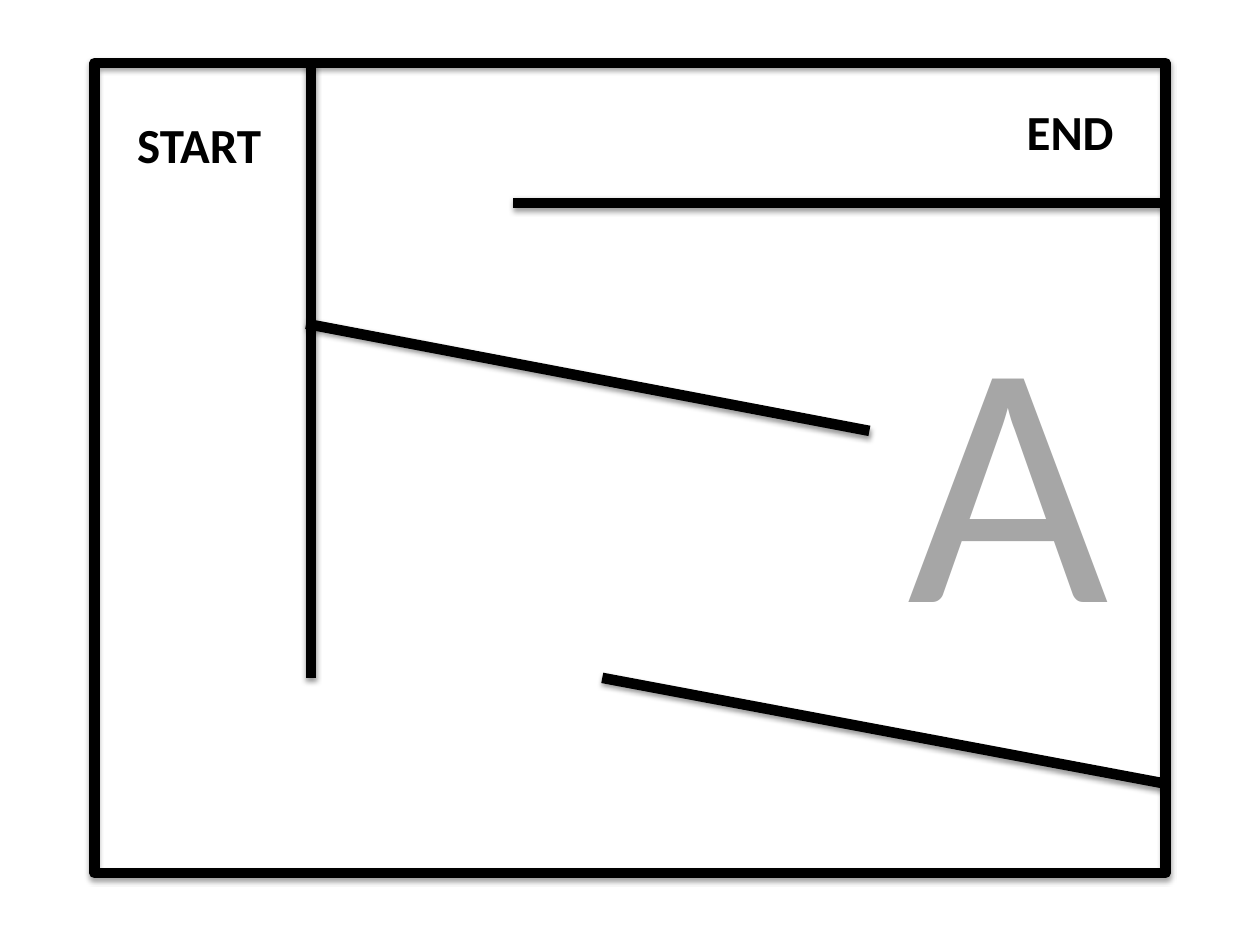
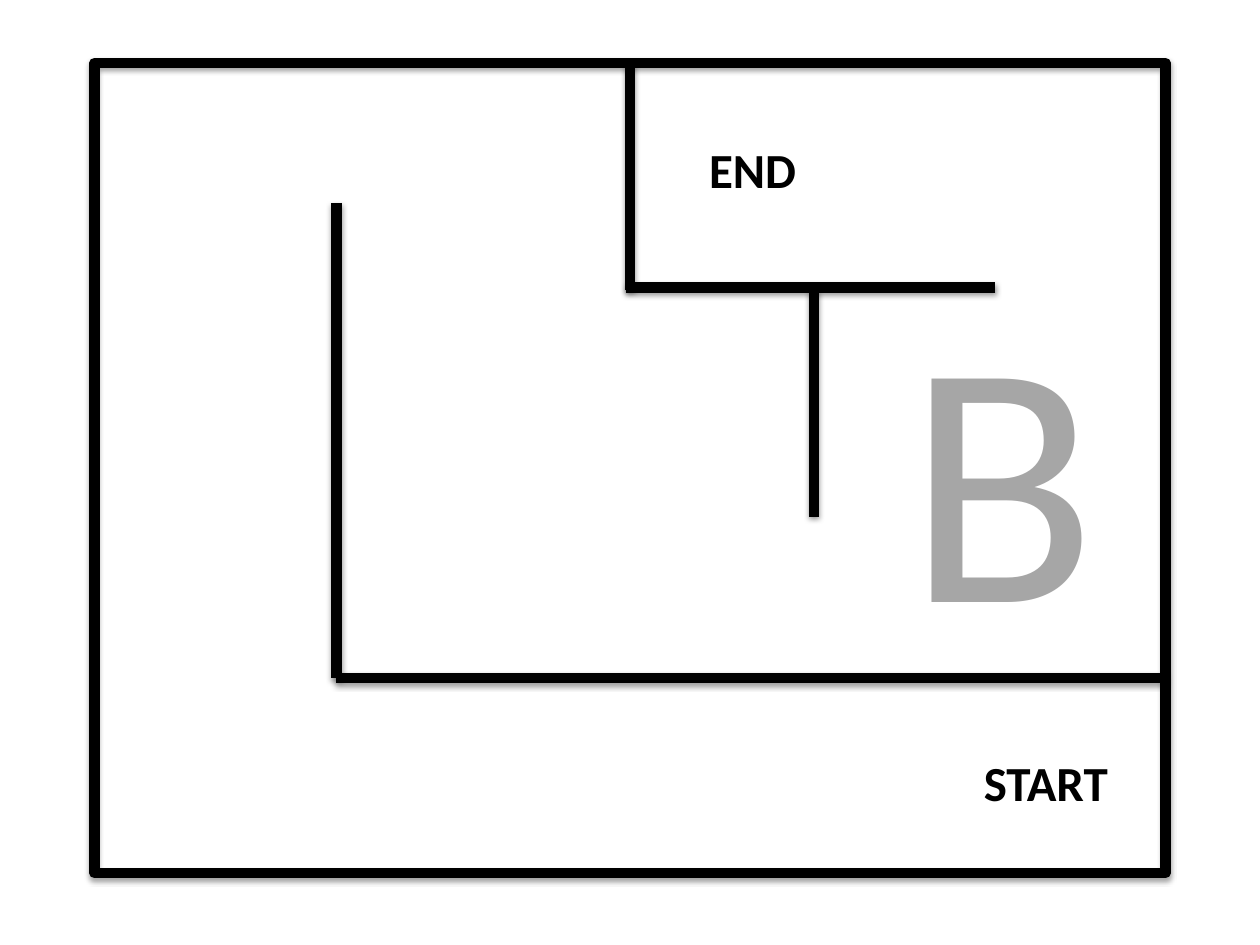
from lxml.etree import SubElement
from pptx import Presentation
from pptx.dml.color import RGBColor
from pptx.enum.shapes import MSO_CONNECTOR, MSO_SHAPE
from pptx.enum.text import MSO_AUTO_SIZE
from pptx.oxml.ns import qn
from pptx.util import Inches, Pt

COLORS = {"wall": "000000", "label": "000000", "letter": "A6A6A6"}
WALL_WIDTH = 6
FRAME = (0.75, 0.5, 8.5, 6.43)
RIGHT = FRAME[2]
TOP_MIDDLE = (FRAME[2] / 2, 0)
LABEL_WIDTHS = {"START": 1.24, "END": 0.9}
LABEL_HEIGHT = 0.57
LETTER_PLACE = (6.35, 1.47)
LETTER_HEIGHT = 3.45
LABEL_FORMAT = {"name": "Calibri", "size": Pt(28), "bold": True}
LETTER_FORMAT = {"name": "Calibri", "size": Pt(199)}

# Places are inches from the top left corner of the frame.
MAZES = [
    {
        "letter": ("A", 1.82),
        "labels": {"START": (0.24, 0.36), "END": (7.3, 0.26)},
        "walls": [
            ((1.72, 0), (1.72, 4.88)),
            ((RIGHT, 1.11), (3.32, 1.11)),
            ((6.15, 2.92), (1.68, 2.07)),
            ((RIGHT, 5.72), (4.03, 4.88)),
        ],
    },
    {
        "letter": ("B", 1.72),
        "labels": {"START": (6.96, 5.42), "END": (4.78, 0.56)},
        "walls": [
            ((1.92, 1.11), (1.92, 4.88)),
            (TOP_MIDDLE, (4.25, 1.8)),
            ((7.15, 1.78), (4.22, 1.78)),
            ((RIGHT, 4.88), (1.92, 4.88)),
            ((5.71, 1.8), (5.71, 3.6)),
        ],
    },
]


def style_wall(shape, opacity, distance):
    """Give a frame or wall its thick line and soft shadow below."""
    shape.line.color.rgb = RGBColor.from_string(COLORS["wall"])
    shape.line.width = Pt(WALL_WIDTH)
    properties = shape._element.spPr
    effects = SubElement(properties, qn("a:effectLst"))
    shadow = SubElement(effects, qn("a:outerShdw"), {
        "blurRad": str(Pt(3.1)), "dist": str(Pt(distance)),
        "dir": str(90 * 60000), "rotWithShape": "0"})
    color = SubElement(shadow, qn("a:srgbClr"), val=COLORS["wall"])
    SubElement(color, qn("a:alpha"), val=str(opacity * 1000))


def add_frame(page, box):
    frame = page.shapes.add_shape(MSO_SHAPE.RECTANGLE, *map(Inches, box))
    frame.fill.background()
    style_wall(frame, 35, 1.8)
    return frame


def add_wall(page, box, frame, start, end):
    left, top = box[:2]
    points = [Inches(value) for x, y in (start, end)
              for value in (left + x, top + y)]
    wall = page.shapes.add_connector(MSO_CONNECTOR.STRAIGHT, *points)
    if start == TOP_MIDDLE:
        wall.begin_connect(frame, 0)
    style_wall(wall, 38, 1.6)


def add_text(page, box, place, size, text, color, format_values):
    left, top = box[0] + place[0], box[1] + place[1]
    text_box = page.shapes.add_textbox(*map(Inches, (left, top, *size)))
    text_box.text_frame.word_wrap = False
    text_box.text_frame.auto_size = MSO_AUTO_SIZE.SHAPE_TO_FIT_TEXT
    span = text_box.text_frame.paragraphs[0].add_run()
    span.text = text
    span.font.color.rgb = RGBColor.from_string(COLORS[color])
    for name, value in format_values.items():
        setattr(span.font, name, value)


def add_maze(page, box, maze):
    frame = add_frame(page, box)
    for start, end in maze["walls"]:
        add_wall(page, box, frame, start, end)
    for text, place in maze["labels"].items():
        add_text(page, box, place, (LABEL_WIDTHS[text], LABEL_HEIGHT),
                 text, "label", LABEL_FORMAT)
    letter, width = maze["letter"]
    add_text(page, box, LETTER_PLACE, (width, LETTER_HEIGHT),
             letter, "letter", LETTER_FORMAT)


def main():
    deck = Presentation()
    deck.slide_width, deck.slide_height = Inches(10), Inches(7.5)
    for maze in MAZES:
        page = deck.slides.add_slide(deck.slide_layouts[6])
        add_maze(page, FRAME, maze)
    deck.save("out.pptx")


if __name__ == "__main__":
    main()
